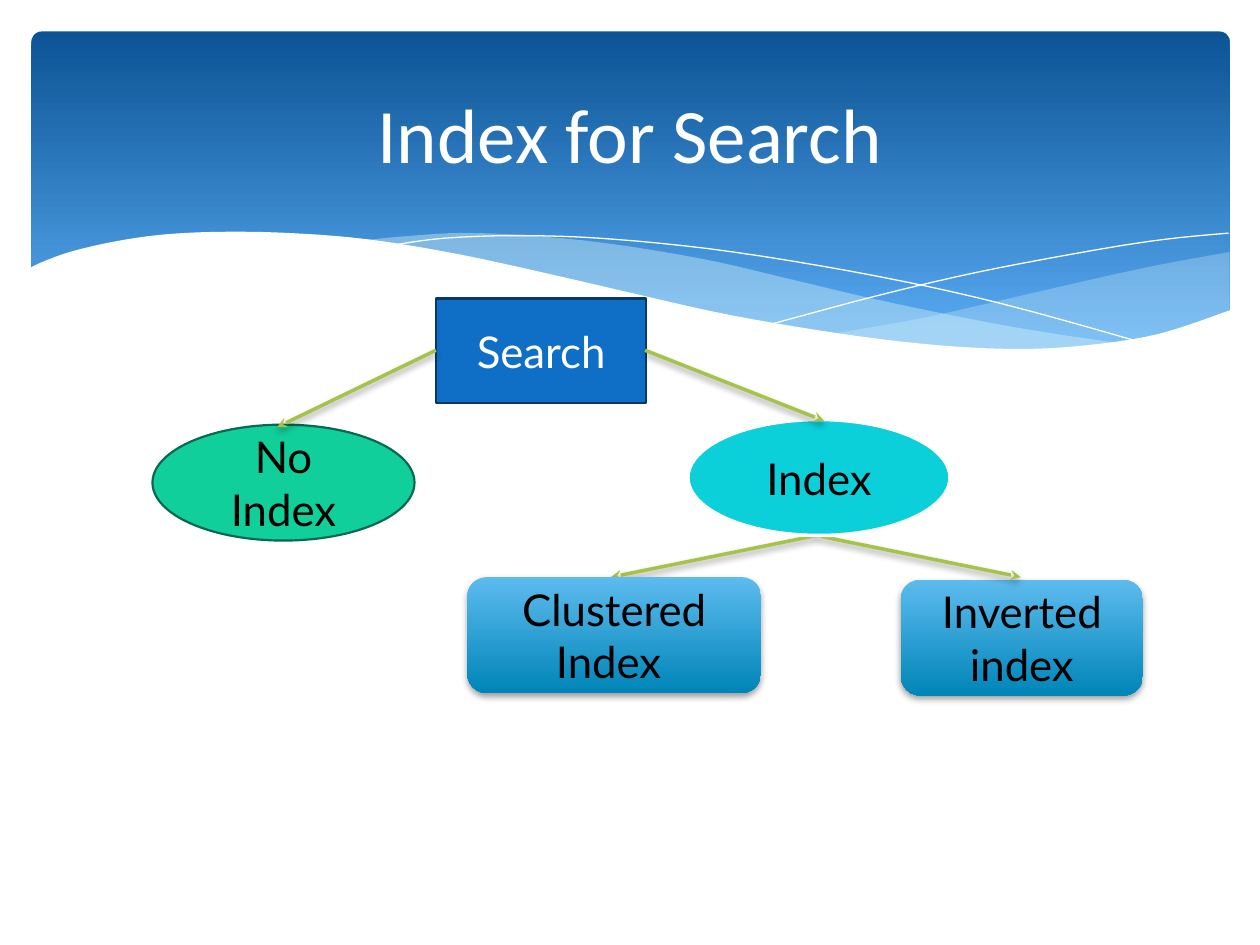
from dataclasses import dataclass

from lxml.etree import SubElement
from pptx import Presentation
from pptx.dml.color import RGBColor
from pptx.enum.shapes import MSO_CONNECTOR as Connector, MSO_SHAPE as Shape
from pptx.enum.text import MSO_ANCHOR as Anchor, PP_ALIGN as Align
from pptx.oxml.ns import qn
from pptx.util import Inches, Pt


@dataclass(frozen=True)
class Theme:
    white: str = "FFFFFF"
    black: str = "000000"
    mist: str = "DBF5F9"
    blue: str = "0F6FC6"
    navy: str = "063864"
    green: str = "10CF9B"
    pine: str = "07694F"
    cyan: str = "0BD0D9"
    arrow: str = "A5C249"
    banner: tuple = ((0, "0B5394"), (0.9, "59AAF2"))
    leaf: tuple = ((0, "5DBBEE"), (1, "0085B8"))
    title_font: str = "Calibri"
    body_font: str = "Lato"
    title_size: int = 44
    body_size: int = 25
    arrow_width: float = 2


THEME = Theme()

# Grid: 100 columns by 75 rows over the slide
WIDTH, HEIGHT = 10, 7.5
COLUMNS = 100
CELL = Inches(WIDTH) / COLUMNS

# Content
TITLE, TITLE_BOX = "Index for Search", (5, 3.7, 90, 13.7)
BANNER_BOX = (2.5, 2.5, 95.1, 27)

# Waves: edges (each a smooth curve through its points), fill, opacity, outline
WAVES = [
    ([[(97.6, 20), (92.1, 21), (86.1, 22.3), (77.9, 24.2), (72.9, 25.3), (66.1, 26.5)],
      [(66.1, 26.5), (73.2, 27.4), (80.3, 27.8), (86.3, 27.5), (92.1, 26.5), (97.6, 24.7)]],
     THEME.mist, 29, None),
    ([[(89.3, 27.3), (80.7, 26), (70.6, 24), (62.9, 22.2), (55.5, 20.5), (46.5, 19.1),
       (38, 18.5), (32.8, 18.7), (28.6, 19.1)],
      [(28.6, 19.1), (36.2, 20.3), (44.9, 22.2), (56.6, 24.8), (65, 26.4), (73.6, 27.5),
       (80.7, 27.8), (84.8, 27.7), (89.3, 27.3)]],
     THEME.mist, 40, None),
    ([[(30.9, 19.5), (35.3, 18.9), (41.6, 18.7), (48.9, 19), (58.2, 20), (69.5, 21.9),
       (79.5, 24.1), (90.7, 27.2)]],
     None, 100, THEME.white),
    ([[(61.3, 25.7), (69.5, 23.5), (77.6, 21.6), (86.6, 19.9), (92.4, 19), (97.5, 18.5)]],
     None, 100, THEME.white),
    ([[(97.7, 24.6), (92, 26.5), (86.3, 27.4), (80.9, 27.7), (74.4, 27.4), (66.8, 26.5),
       (57.9, 25), (50.3, 23.3), (44.7, 22), (36.5, 20.2), (29.2, 19), (23, 18.5),
       (17.7, 18.4), (13.2, 18.6), (9.5, 19.1), (5.9, 19.9), (3.6, 20.7), (2.3, 21.3)],
      [(2.3, 32.9), (97.7, 32.9)]],
     THEME.white, 100, None),
]

ROOT_STYLE = (Shape.RECTANGLE, THEME.blue, (THEME.navy, 1.25), THEME.white)
NONE_STYLE = (Shape.OVAL, THEME.green, (THEME.pine, 1.25), THEME.black)
INDEX_STYLE = (Shape.OVAL, THEME.cyan, (THEME.white, 2), THEME.black)
LEAF_STYLE = (Shape.ROUNDED_RECTANGLE, THEME.leaf, None, THEME.black)

# Diagram, back to front: a node is (text, box, style), a link is (start, end)
DIAGRAM = [
    ("Inverted index", (71.5, 46, 19.2, 9.2), LEAF_STYLE),
    ((64.8, 42.5), (81, 45.8)),
    ((64.8, 42.5), (48.5, 45.8)),
    ("Search", (34.6, 23.7, 16.7, 8.3), ROOT_STYLE),
    ("No Index", (12.1, 33.7, 20.8, 9.2), NONE_STYLE),
    ((34.6, 27.8), (22, 33.9)),
    ("Index", (54.6, 33.3, 20.8, 9.2), INDEX_STYLE),
    ((51.2, 27.8), (65.4, 33.4)),
    ("Clustered Index ", (37.1, 45.8, 23.3, 9.2), LEAF_STYLE),
]


def grid(*cells):
    return [round(cell * CELL) for cell in cells]


def paint(fill, colour):
    """Fill with nothing, one colour, or a vertical gradient of stops."""
    if colour is None:
        fill.background()
    elif isinstance(colour, str):
        fill.solid()
        fill.fore_color.rgb = RGBColor.from_string(colour)
    else:
        fill.gradient()
        fill.gradient_angle = 270
        for stop, (position, shade) in zip(fill.gradient_stops, colour):
            stop.position = position
            stop.color.rgb = RGBColor.from_string(shade)


def outline(line, colour, width):
    paint(line.fill, colour)
    line.width = Pt(width)


def cast_shadow(properties):
    effects = properties.find(qn("a:effectLst"))
    if effects is None:
        effects = SubElement(properties, qn("a:effectLst"))
    shadow = SubElement(effects, qn("a:outerShdw"), blurRad=str(Pt(4)),
                        dist=str(Pt(2)), dir="5400000", rotWithShape="0")
    shade = SubElement(shadow, qn("a:srgbClr"), val=THEME.black)
    SubElement(shade, qn("a:alpha"), val="38000")


def write(box, text, font, size, colour):
    frame = box.text_frame
    frame.text = text
    settings = {"word_wrap": True, "vertical_anchor": Anchor.MIDDLE,
                "margin_left": Inches(0.1), "margin_right": Inches(0.1),
                "margin_top": Inches(0.05), "margin_bottom": Inches(0.05)}
    for name, value in settings.items():
        setattr(frame, name, value)
    para = frame.paragraphs[0]
    para.alignment = Align.CENTER
    span = para.runs[0]
    for name, value in {"name": font, "size": Pt(size)}.items():
        setattr(span.font, name, value)
    span.font.color.rgb = RGBColor.from_string(colour)


def smooth(points, steps=5):
    """Points of a Catmull-Rom curve; two points stay a straight edge."""
    if len(points) == 2:
        return points
    padded = [points[0], *points, points[-1]]
    curve = [points[0]]
    for a, b, c, d in zip(padded, padded[1:], padded[2:], padded[3:]):
        for step in range(1, steps + 1):
            t = step / steps
            curve.append(tuple(
                (2 * q + (r - p) * t + (2 * p - 5 * q + 4 * r - s) * t ** 2
                 + (3 * q - p - 3 * r + s) * t ** 3) / 2
                for p, q, r, s in zip(a, b, c, d)))
    return curve


def add_wave(shapes, edges, colour, opacity, stroke):
    start, *rest = [grid(*point) for edge in edges for point in smooth(edge)]
    builder = shapes.build_freeform(*start)
    builder.add_line_segments(rest, close=colour is not None)
    wave = builder.convert_to_shape()
    wave.shadow.inherit = False
    paint(wave.fill, colour)
    outline(wave.line, stroke, 0)
    if opacity < 100:
        shade = wave.fill._xPr.find(qn("a:solidFill"))[0]
        SubElement(shade, qn("a:alpha"), val=str(opacity * 1000))


def add_node(shapes, text, box, style):
    kind, colour, border, ink = style
    node = shapes.add_shape(kind, *grid(*box))
    node.shadow.inherit = False
    paint(node.fill, colour)
    outline(node.line, *(border or (None, 0)))
    if style is LEAF_STYLE:
        cast_shadow(node._element.spPr)
    write(node, text, THEME.body_font, THEME.body_size, ink)


def add_link(shapes, start, end):
    link = shapes.add_connector(Connector.STRAIGHT, *grid(*start, *end))
    outline(link.line, THEME.arrow, THEME.arrow_width)
    SubElement(link.line._get_or_add_ln(), qn("a:tailEnd"), type="stealth")
    cast_shadow(link._element.spPr)


def main():
    deck = Presentation()
    deck.slide_width, deck.slide_height = Inches(WIDTH), Inches(HEIGHT)
    page = deck.slides.add_slide(deck.slide_layouts[5])
    shapes = page.shapes

    # Banner and waves
    banner = shapes.add_shape(Shape.ROUNDED_RECTANGLE, *grid(*BANNER_BOX))
    banner.adjustments[0] = 0.03
    banner.shadow.inherit = False
    paint(banner.fill, THEME.banner)
    outline(banner.line, None, 0)
    for wave in WAVES:
        add_wave(shapes, *wave)

    # Title, in front of the banner
    title = shapes.title
    title.left, title.top, title.width, title.height = grid(*TITLE_BOX)
    write(title, TITLE, THEME.title_font, THEME.title_size, THEME.white)
    title._element.getparent().append(title._element)

    # Diagram
    for item in DIAGRAM:
        add = add_node if isinstance(item[0], str) else add_link
        add(shapes, *item)

    deck.save("out.pptx")


if __name__ == "__main__":
    main()
